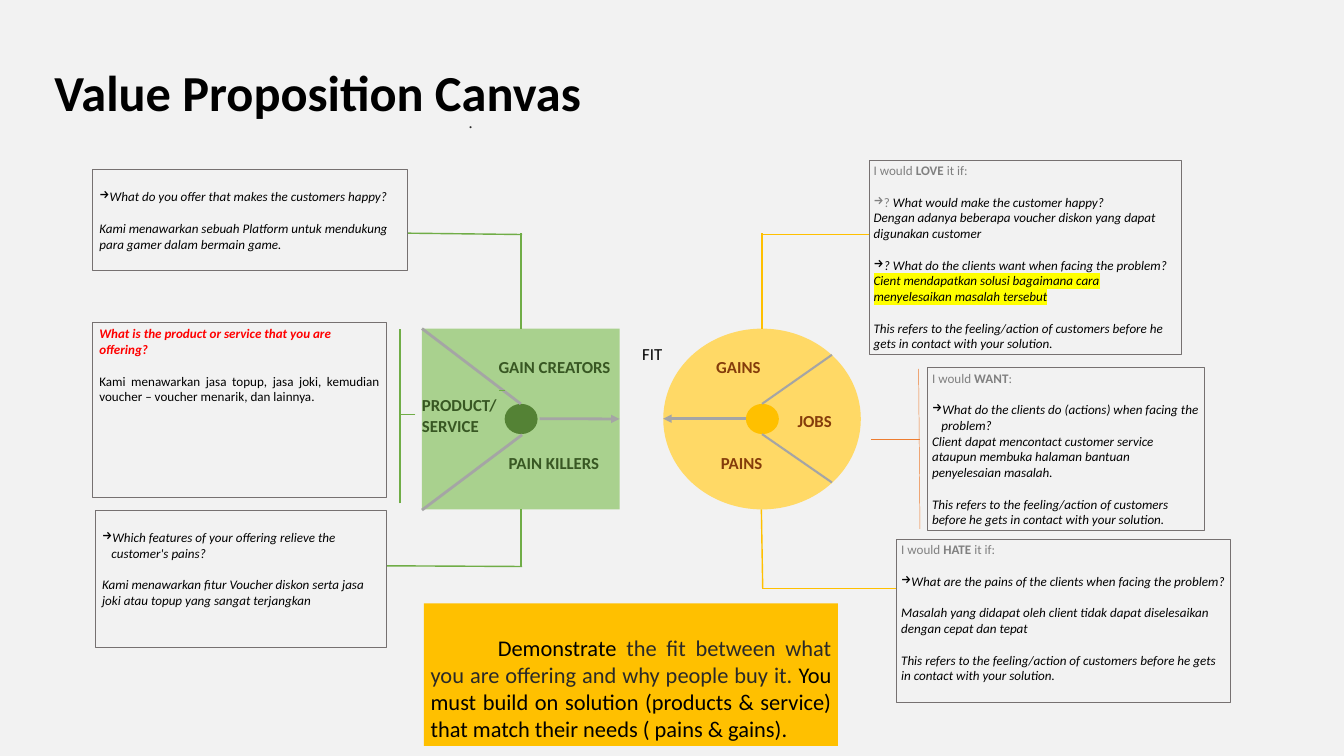
from lxml import etree
from pptx import Presentation
from pptx import util as u
from pptx.dml.color import RGBColor
from pptx.enum import shapes, text
from pptx.oxml.ns import qn

COLORS = {
    "page": "F2F2F2", "black": "000000", "ink": "292929", "muted": "808080",
    "red": "FF0000", "highlight": "FFFF00", "border": "767171", "spoke": "A5A5A5",
    "green": "A9D18E", "green_hub": "548235", "green_text": "385723", "green_line": "70AD47",
    "sand": "FFD966", "amber": "FFC000", "brown": "843C0B", "orange": "ED7D31",
}

ITALIC = {"italic": True}
SPACED = {"italic": True, "gap": 17}
BULLET = {"italic": True, "bullet": True}
SPACED_BULLET = {**BULLET, "gap": 17}
MUTED = {"color": "muted"}
FEELING = ("This refers to the feeling/action of customers before he gets in contact "
           "with your solution.", SPACED)


def opening(word, ending):
    return [("I would ", MUTED),
            (word, {**MUTED, "bold": True, "joins": True}),
            (ending, {**MUTED, "joins": True})]


OFFER_INSETS = (0.1, 0.05)
HEADED_INSETS = (0.1, 0.29)
CLIENT_INSETS = (0.07, 0.04)

NOTES = [
    ((1.38, 2.52, 4.68, 1.5), HEADED_INSETS, [
        ("What do you offer that makes the customers happy?", BULLET),
        ("Kami menawarkan sebuah Platform untuk mendukung para gamer dalam bermain game.", SPACED)]),
    ((1.38, 4.8, 4.37, 2.6), OFFER_INSETS, [
        ("What is the product or service that you are offering?",
         {"color": "red", "bold": True, "italic": True}),
        ("Kami menawarkan jasa topup, jasa joki, kemudian voucher – voucher menarik, dan lainnya.",
         {"gap": 17, "align": "JUSTIFY"})]),
    ((1.42, 7.59, 4.33, 2.05), HEADED_INSETS, [
        ("Which features of your offering relieve the customer's pains?", BULLET),
        ("Kami menawarkan fitur Voucher diskon serta jasa joki atau topup yang sangat terjangkan",
         SPACED)]),
    ((12.93, 2.38, 4.65, 2.9), CLIENT_INSETS, [
        *opening("LOVE", " it if:"),
        ("?", {**MUTED, "bullet": True, "gap": 17}),
        (" What would make the customer happy?", {"italic": True, "joins": True}),
        ("Dengan adanya beberapa voucher diskon yang dapat digunakan customer", ITALIC),
        ("? What do the clients want when facing the problem?", SPACED_BULLET),
        ("Cient mendapatkan solusi bagaimana cara menyelesaikan masalah tersebut",
         {"italic": True, "highlight": True}),
        FEELING]),
    ((13.8, 5.47, 4.13, 2.43), CLIENT_INSETS, [
        *opening("WANT", ":"),
        ("What do the clients do (actions) when facing the problem?", SPACED_BULLET),
        ("Client dapat mencontact customer service ataupun membuka halaman bantuan "
         "penyelesaian masalah.", ITALIC),
        FEELING]),
    ((13.34, 8.02, 4.97, 2.43), CLIENT_INSETS, [
        *opening("HATE", " it if:"),
        ("What are the pains of the clients when facing the problem?", SPACED_BULLET),
        ("Masalah yang didapat oleh client tidak dapat diselesaikan dengan cepat dan tepat", SPACED),
        FEELING]),
]

FIT_MESSAGE = [
    ("Demonstrate ", {"size": 24, "align": "JUSTIFY", "indent": 1}),
    ("the fit between what you are offering and why people buy it. ",
     {"size": 24, "color": "ink", "joins": True}),
    ("You must build on solution (products & service) that match their needs ( pains & gains).",
     {"size": 24, "joins": True}),
]

SEGMENTS = [
    ("GAIN CREATORS", (7.32, 5.26, 2.05, 0.47), "green_text"),
    ("PAIN KILLERS", (7.47, 6.69, 2.05, 0.47), "green_text"),
    ("PRODUCT/\nSERVICE", (6.18, 5.83, 2.05, 0.83), "green_text"),
    ("GAINS", (10.56, 5.26, 1.41, 0.47), "brown"),
    ("JOBS", (11.77, 6.06, 1.41, 0.47), "brown"),
    ("PAINS", (10.63, 6.69, 1.41, 0.47), "brown"),
]

SPOKES = [
    ((7.75, 6.01), (6.28, 4.89), 3),
    ((7.77, 6.47), (6.28, 7.59), 3),
    ((12.38, 5.28), (11.34, 6.01), 2.25),
    ((12.38, 7.18), (11.34, 6.46), 2.25),
]

LINKS = {
    ("green_line", 1.5): [
        ((7.77, 3.49), (6.07, 3.47)), ((7.77, 8.43), (5.75, 8.42)),
        ((7.52, 5.81), (7.43, 5.81)), ((5.95, 7.49), (5.95, 4.89)),
        ((6.18, 6.17), (5.95, 6.17))],
    ("amber", 1.5): [
        ((11.34, 4.89), (11.34, 3.46)), ((12.94, 3.49), (11.33, 3.49)),
        ((11.35, 8.76), (11.33, 7.58)), ((13.34, 8.76), (11.34, 8.76))],
    ("orange", 0.5): [
        ((12.96, 6.53), (13.69, 6.53)), ((13.69, 7.87), (13.67, 5.49))],
}


def rgb(name):
    return RGBColor.from_string(COLORS[name])


def write(frame, words, size=14, color="black", bold=False, italic=False, font="Calibri",
          highlight=False, joins=False, gap=0, bullet=False, align=None, indent=0, leading=None):
    paragraph = frame.paragraphs[-1]
    if not joins:
        if paragraph.runs:
            paragraph = frame.add_paragraph()
        props = paragraph._p.get_or_add_pPr()
        if bullet:
            props.set("marL", str(u.Inches(0.14)))
            props.set("indent", str(-u.Inches(0.14)))
            etree.SubElement(props, qn("a:buChar")).set("char", "→")
        elif indent:
            props.set("indent", str(u.Inches(indent)))
        if gap:
            paragraph.space_before = u.Pt(gap)
        if leading:
            paragraph.line_spacing = u.Pt(leading)
        if align:
            paragraph.alignment = text.PP_ALIGN[align]
        else:
            paragraph.alignment = text.PP_ALIGN.LEFT
    run = paragraph.add_run()
    run.text = words
    run.font.name, run.font.size = font, u.Pt(size)
    run.font.bold, run.font.italic = bold, italic
    run.font.color.rgb = rgb(color)
    if highlight:
        marker = etree.Element(qn("a:highlight"))
        etree.SubElement(marker, qn("a:srgbClr")).set("val", COLORS["highlight"])
        run._r.rPr.find(qn("a:latin")).addprevious(marker)


def prepare(frame, insets):
    frame.word_wrap = True
    frame.vertical_anchor = text.MSO_ANCHOR.TOP
    side, top = (u.Inches(inset) for inset in insets)
    frame.margin_left = frame.margin_right = side
    frame.margin_top, frame.margin_bottom = top, min(top, u.Inches(0.05))
    return frame


def panel(slide, area, fill=None, border=None, kind="RECTANGLE"):
    shape = slide.shapes.add_shape(shapes.MSO_SHAPE[kind], *map(u.Inches, area))
    shape.shadow.inherit = False
    if fill:
        shape.fill.solid()
        shape.fill.fore_color.rgb = rgb(fill)
    else:
        shape.fill.background()
    if border:
        shape.line.color.rgb = rgb(border)
        shape.line.width = u.Pt(0.75)
    else:
        shape.line.fill.background()
    return shape


def connect(slide, start, end, color, width, arrow=False):
    link = slide.shapes.add_connector(shapes.MSO_CONNECTOR.STRAIGHT, *map(u.Inches, start + end))
    link.line.color.rgb = rgb(color)
    link.line.width = u.Pt(width)
    if arrow:
        etree.SubElement(link.line._get_or_add_ln(), qn("a:tailEnd")).set("type", "triangle")
    etree.SubElement(link._element.spPr, qn("a:effectLst"))
    return link


def label(slide, words, area, insets=OFFER_INSETS, **style):
    frame = prepare(slide.shapes.add_textbox(*map(u.Inches, area)).text_frame, insets)
    for line in words.split("\n"):
        write(frame, line, **style)


def main():
    deck = Presentation()
    deck.slide_width, deck.slide_height = u.Inches(20), u.Inches(11.25)
    slide = deck.slides.add_slide(deck.slide_layouts[6])
    slide.background.fill.solid()
    slide.background.fill.fore_color.rgb = rgb("page")

    label(slide, "Value Proposition Canvas", (0.81, 0.6, 13.49, 1.12), (0, 0),
          size=54, bold=True, leading=87.5)

    offer = panel(slide, (6.28, 4.89, 2.94, 2.69), "green")
    panel(slide, (9.87, 4.89, 2.94, 2.69), "sand", kind="FLOWCHART_CONNECTOR")
    for left, color in ((7.51, "green_hub"), (11.1, "amber")):
        panel(slide, (left, 6.01, 0.49, 0.45), color, kind="FLOWCHART_CONNECTOR")

    for start, end, width in SPOKES:
        connect(slide, start, end, "spoke", width)
    connect(slide, (8.03, 6.23), (9.22, 6.23), "spoke", 3, arrow=True).end_connect(offer, 3)
    connect(slide, (11.1, 6.23), (9.87, 6.23), "spoke", 3, arrow=True)
    for (color, width), ends in LINKS.items():
        for start, end in ends:
            connect(slide, start, end, color, width)
    connect(slide, (7.75, 4.89), (7.75, 3.46), "green_line", 1.5).begin_connect(offer, 0)
    connect(slide, (7.75, 8.42), (7.75, 7.58), "green_line", 1.5).end_connect(offer, 2)

    for words, area, color in SEGMENTS:
        label(slide, words, area, size=18, color=color, bold=True)
    label(slide, "FIT", (8.77, 5.06, 1.87, 0.4), size=18, align="CENTER")
    label(slide, ".", (6.87, 1.62, 0.27, 0.4), size=18, color="ink", font="TeX Gyre Schola")

    for area, insets, lines in NOTES:
        frame = prepare(panel(slide, area, border="border").text_frame, insets)
        for words, style in lines:
            write(frame, words, **style)

    message = prepare(panel(slide, (6.31, 8.98, 6.16, 2.12), "amber").text_frame, (0.1, 0.46))
    for words, style in FIT_MESSAGE:
        write(message, words, **style)

    deck.save("out.pptx")


if __name__ == "__main__":
    main()
